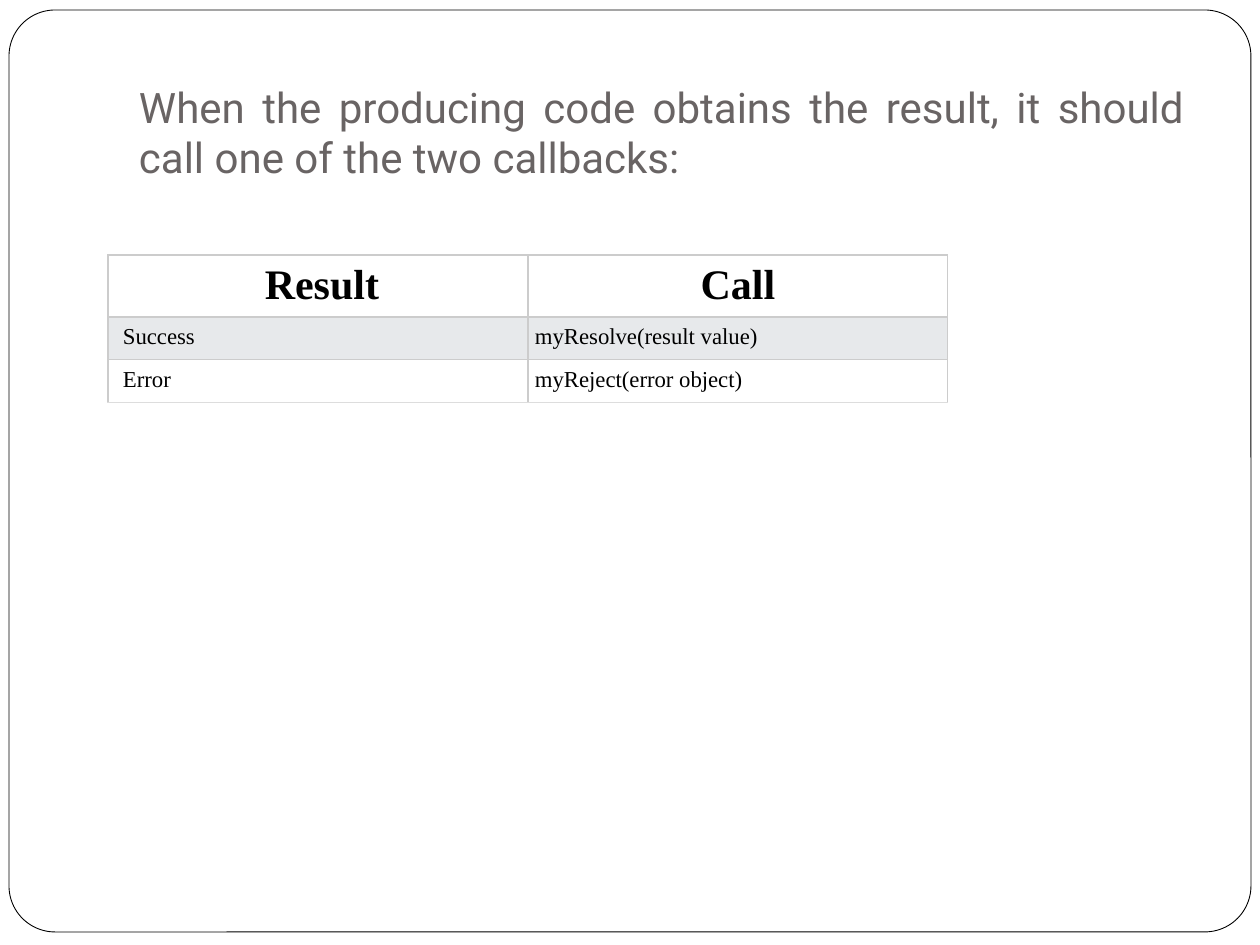
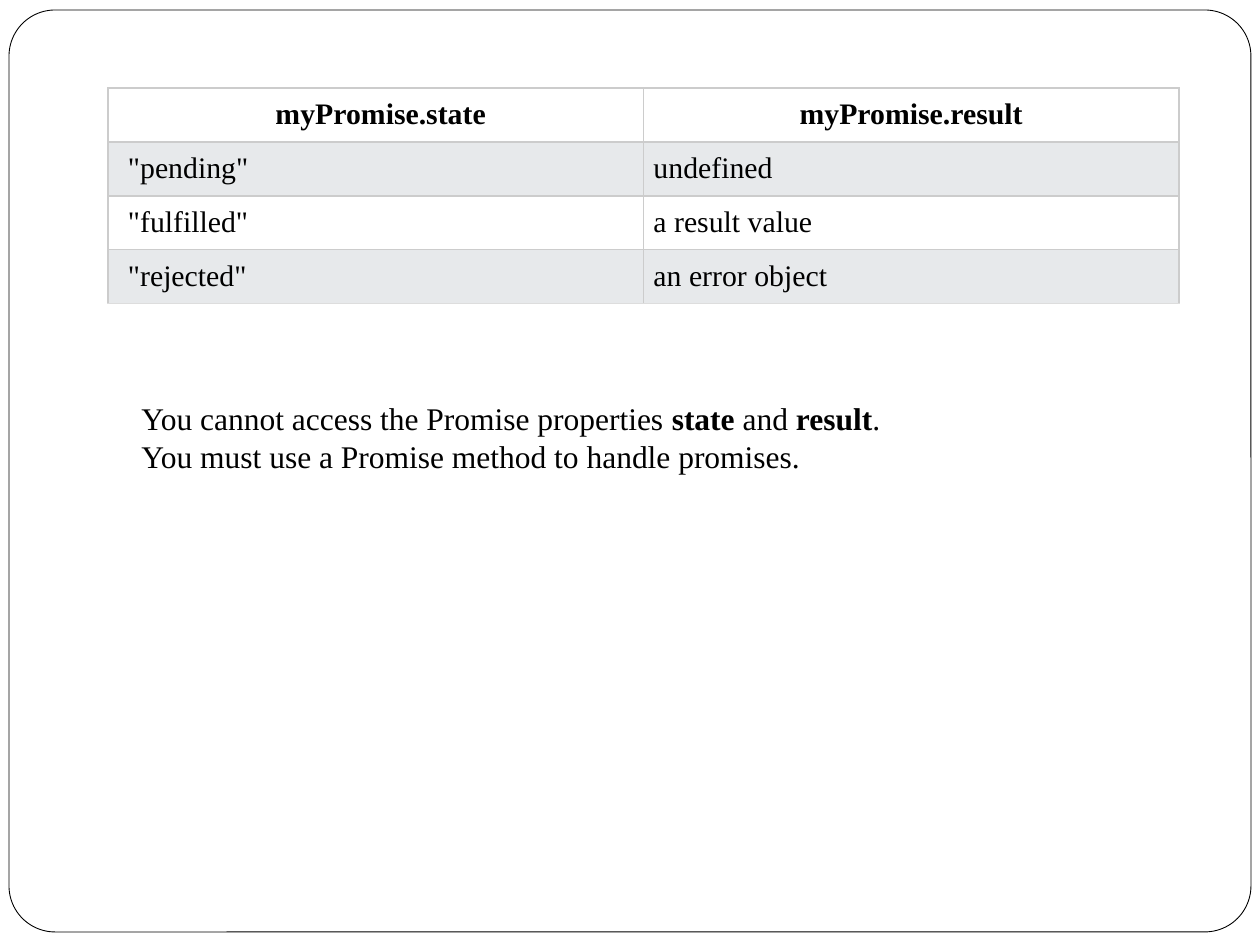
"""Build two slides on the outcomes of a Promise."""
from dataclasses import dataclass

from lxml import etree
from pptx import Presentation
from pptx.dml.color import RGBColor
from pptx.enum.shapes import MSO_SHAPE
from pptx.enum.text import MSO_ANCHOR, MSO_AUTO_SIZE, PP_ALIGN
from pptx.oxml.ns import qn
from pptx.util import Emu, Pt

ROUNDED = MSO_SHAPE.ROUNDED_RECTANGLE
BOTTOM, TOP = MSO_ANCHOR.BOTTOM, MSO_ANCHOR.TOP
NO_FIT = MSO_AUTO_SIZE.NONE
LEFT, CENTER, JUSTIFY = PP_ALIGN.LEFT, PP_ALIGN.CENTER, PP_ALIGN.JUSTIFY
EMU_PER_PX = 914400 / 126
TITLE_ONLY, BLANK = 5, 6


@dataclass(frozen=True)
class Theme:
    """Colours, fonts and type sizes shared by the slides."""
    paper: str = "FFFFFF"
    ink: str = "000000"
    title_ink: str = "696464"
    band: str = "E7E9EB"
    rule: str = "CCCCCC"
    last_rule: str = "DDDDDD"
    title_font: str = "Roboto"
    body_font: str = "Times New Roman"
    title_size: int = 24
    note_size: int = 18
    frame_width: float = 0.5
    rule_width: float = 0.75


@dataclass(frozen=True)
class Box:
    """A rectangle in px."""
    left: int
    top: int
    width: int
    height: int

    def emu(self) -> tuple[Emu, ...]:
        """Return the rectangle in EMU."""
        return tuple(px(v) for v in (self.left, self.top, self.width, self.height))


@dataclass(frozen=True)
class TableSpec:
    """Content and measures of a banded two-column table."""
    box: Box
    rows: tuple[tuple[str, str], ...]
    heights: tuple[int, ...]
    first_left: int
    pad: int
    header_size: int
    body_size: int


THEME = Theme()
FRAME = Box(9, 10, 1242, 922)
TITLE_BOX = Box(126, 38, 1071, 157)
NOTE_BOX = Box(129, 393, 935, 89)
TITLE = "When the producing code obtains the result, it should call one of the two callbacks:"
NOTE = (
    (("You cannot access the Promise properties ", False), ("state", True),
     (" and ", False), ("result", True), (".", False)),
    (("You must use a Promise method to handle promises.", False),),
)
CALLBACKS = TableSpec(
    Box(108, 255, 840, 148),
    (("Result", "Call"),
     ("Success", "myResolve(result value)"),
     ("Error", "myReject(error object)")),
    (62, 43, 43), 15, 7, 24, 13)
STATES = TableSpec(
    Box(108, 88, 1071, 216),
    (("myPromise.state", "myPromise.result"),
     ('"pending"', "undefined"),
     ('"fulfilled"', "a result value"),
     ('"rejected"', "an error object")),
    (54,) * 4, 20, 10, 17, 17)


def px(value: int) -> Emu:
    """Turn px into EMU."""
    return Emu(round(value * EMU_PER_PX))


def apply(target, values: dict) -> None:
    """Set attributes of an object from a dict."""
    for name, value in values.items():
        setattr(target, name, value)


def add_run(p, text: str, size: int, font: str = THEME.body_font,
            color: str = THEME.ink, bold: bool = False) -> None:
    """Add a formatted run to a paragraph."""
    r = p.add_run()
    r.text = text
    apply(r.font, {"name": font, "size": Pt(size), "bold": bold})
    r.font.color.rgb = RGBColor.from_string(color)


def add_frame(prs, slide) -> None:
    """Put the rounded page frame behind everything on the master."""
    sp = slide.shapes.add_shape(ROUNDED, *FRAME.emu())
    sp.shadow.inherit = False
    sp.adjustments[0] = 0.05
    sp.fill.solid()
    sp.fill.fore_color.rgb = RGBColor.from_string(THEME.paper)
    sp.line.color.rgb = RGBColor.from_string(THEME.ink)
    sp.line.width = Pt(THEME.frame_width)
    prs.slide_master.shapes._spTree.insert(2, sp._element)


def set_title(slide, text: str) -> None:
    """Place and fill the title placeholder."""
    sp = slide.shapes.title
    apply(sp, dict(zip(("left", "top", "width", "height"), TITLE_BOX.emu())))
    tf = sp.text_frame
    apply(tf, {"word_wrap": True, "auto_size": NO_FIT, "vertical_anchor": BOTTOM,
               "margin_left": px(13), "margin_right": px(13),
               "margin_top": px(6), "margin_bottom": px(13)})
    p = tf.paragraphs[0]
    p.alignment = JUSTIFY
    add_run(p, text, THEME.title_size, THEME.title_font, THEME.title_ink)


def set_borders(cell, bottom: str) -> None:
    """Rule the four edges of a cell."""
    tc_pr = cell._tc.get_or_add_tcPr()
    for edge in ("lnL", "lnR", "lnT", "lnB"):
        ln = etree.SubElement(tc_pr, qn(f"a:{edge}"), w=str(Pt(THEME.rule_width)))
        fill = etree.SubElement(ln, qn("a:solidFill"))
        color = bottom if edge == "lnB" else THEME.rule
        etree.SubElement(fill, qn("a:srgbClr"), val=color)


def add_table(slide, spec: TableSpec) -> None:
    """Draw a table with a bold header and shaded odd body rows."""
    last = len(spec.rows) - 1
    columns = len(spec.rows[0])
    table = slide.shapes.add_table(last + 1, columns, *spec.box.emu()).table
    apply(table, {"first_row": False, "horz_banding": False})
    for i, (texts, height) in enumerate(zip(spec.rows, spec.heights)):
        table.rows[i].height = px(height)
        header = i == 0
        for j, text in enumerate(texts):
            cell = table.cell(i, j)
            apply(cell, {"vertical_anchor": TOP,
                         "margin_left": px(spec.pad if j else spec.first_left),
                         "margin_right": px(spec.pad),
                         "margin_top": px(spec.pad),
                         "margin_bottom": px(spec.pad)})
            set_borders(cell, THEME.last_rule if i == last else THEME.rule)
            cell.fill.solid()
            cell.fill.fore_color.rgb = RGBColor.from_string(
                THEME.band if i % 2 else THEME.paper)
            p = cell.text_frame.paragraphs[0]
            p.alignment = CENTER if header else LEFT
            add_run(p, text, spec.header_size if header else spec.body_size, bold=header)


def add_note(slide) -> None:
    """Write the remark below the states table."""
    tf = slide.shapes.add_textbox(*NOTE_BOX.emu()).text_frame
    tf.word_wrap = True
    for i, runs in enumerate(NOTE):
        p = tf.add_paragraph() if i else tf.paragraphs[0]
        for text, bold in runs:
            add_run(p, text, THEME.note_size, bold=bold)


def main() -> None:
    """Build and save the slides."""
    prs = Presentation()
    apply(prs, {"slide_width": px(1260), "slide_height": px(945)})
    s = prs.slides.add_slide(prs.slide_layouts[TITLE_ONLY])
    add_frame(prs, s)
    set_title(s, TITLE)
    add_table(s, CALLBACKS)
    s = prs.slides.add_slide(prs.slide_layouts[BLANK])
    add_table(s, STATES)
    add_note(s)
    prs.save("out.pptx")


if __name__ == "__main__":
    main()
